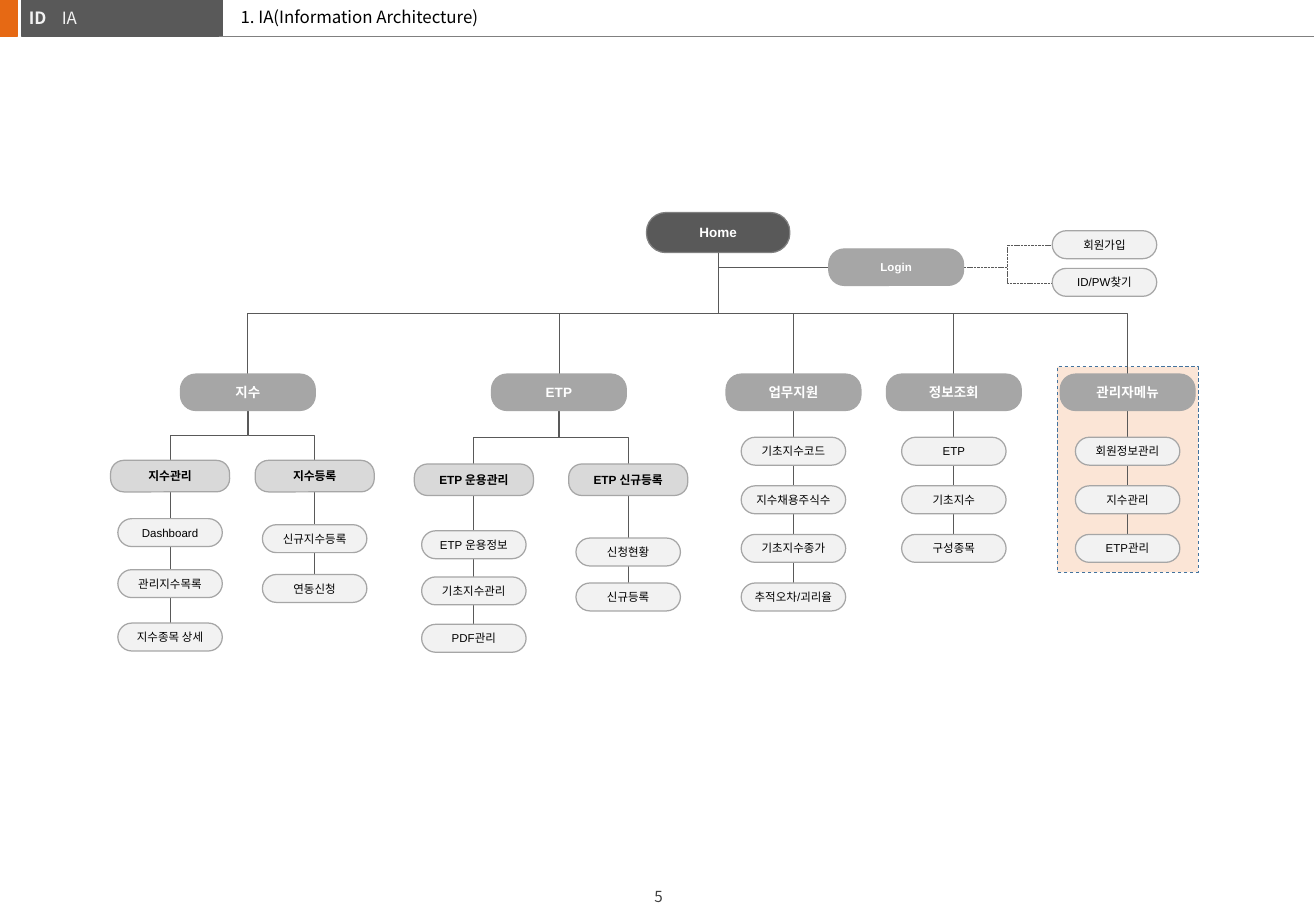
from collections import namedtuple

from pptx import Presentation
from pptx.dml.color import RGBColor
from pptx.enum import dml, shapes, text
from pptx.oxml import parse_xml
from pptx.oxml.ns import nsdecls
from pptx.util import Inches, Pt

Level = namedtuple("Level", "w h round fill edge size ink bold")


class Theme:
    sans, head = "Arial", "Noto Sans CJK KR"
    orange, dark, rule, pale = "E66914", "595959", "808080", "F2F2F2"
    peach, blue, black, page = "FBE5D6", "43739E", "000000", "404040"
    title, small = 10, 9
    home = Level(1.18, 0.33, 0.48, "595959", "808080", 8, "FFFFFF", True)
    menu = Level(1.11, 0.3, 0.42, "A6A6A6", "A6A6A6", 8, "FFFFFF", True)
    login = menu._replace(size=6.8)
    sub = Level(0.98, 0.26, 0.42, "D9D9D9", "A6A6A6", 7, "000000", True)
    leaf = Level(0.86, 0.23, 0.5, "F2F2F2", "A6A6A6", 6.8, "000000", False)


rgb = RGBColor.from_string
kinds = shapes.MSO_CONNECTOR
deck = Presentation()
deck.slide_width, deck.slide_height = Inches(10.83), Inches(7.5)
slide = deck.slides.add_slide(deck.slide_layouts[5])
pen = slide.shapes


def link(x1, y1, x2, y2, dash=None, color=Theme.dark):
    """Join two points: straight if level or plumb, dashed elbows sideways, others downward."""
    turn = 0
    if x1 == x2 or y1 == y2:
        kind = kinds.STRAIGHT
    else:
        kind = kinds.ELBOW
        if not dash:
            # A downward elbow is a sideways one turned about its centre.
            side = 1 if x2 > x1 else -1
            cx, cy = (x1 + x2) / 2, (y1 + y2) / 2
            dx, dy = abs(x2 - x1) / 2, side * (y2 - y1) / 2
            x1, y1, x2, y2 = cx + dy, cy - dx, cx - dy, cy + dx
            turn = 270 if side > 0 else 90
    wire = pen.add_connector(kind, *(Inches(v) for v in (x1, y1, x2, y2)))
    wire.line.color.rgb = rgb(color)
    wire.line.width = Pt(0.5)
    if dash:
        wire.line.dash_style = dash
    props = wire._element.spPr
    if turn:
        props.xfrm.set("rot", str(turn * 60000))
    props.append(parse_xml(f"<a:effectLst {nsdecls('a')}/>"))


def node(label, x, top, level):
    """Draw a rounded box centred on x."""
    box = pen.add_shape(shapes.MSO_SHAPE.ROUNDED_RECTANGLE, Inches(x - level.w / 2),
                        Inches(top), Inches(level.w), Inches(level.h))
    box.adjustments[0] = level.round
    box.shadow.inherit = False
    box.fill.solid()
    box.fill.fore_color.rgb = rgb(level.fill)
    box.line.color.rgb = rgb(level.edge)
    box.line.width = Pt(0.75)
    frame = box.text_frame
    frame.word_wrap = True
    frame.vertical_anchor = text.MSO_ANCHOR.MIDDLE
    frame.margin_left = frame.margin_right = Inches(0.01)
    frame.margin_top = frame.margin_bottom = Inches(0.01)
    para = frame.paragraphs[0]
    para.text = label
    para.alignment = text.PP_ALIGN.CENTER
    para.font.name, para.font.size = Theme.sans, Pt(level.size)
    para.font.bold, para.font.color.rgb = level.bold, rgb(level.ink)


# Header bars and the panel behind the admin menu
panels = [
    (0, 0, 0.14, 0.3, Theme.orange, Theme.orange, 1),
    (0.18, 0, 1.65, 0.3, Theme.dark, Theme.dark, 1),
    (8.7, 3.02, 1.16, 1.69, Theme.peach, Theme.blue, 0.5),
]
for x, y, w, h, fill, edge, width in panels:
    panel = pen.add_shape(shapes.MSO_SHAPE.RECTANGLE, Inches(x), Inches(y), Inches(w), Inches(h))
    panel.shadow.inherit = False
    panel.fill.solid()
    panel.fill.fore_color.rgb = rgb(fill)
    panel.line.color.rgb = rgb(edge)
    panel.line.width = Pt(width)
panel.line.dash_style = dml.MSO_LINE.DASH
link(1.8, 0.3, 10.81, 0.3, color=Theme.rule)

# Title, header labels and page number
left, centre = text.PP_ALIGN.LEFT, text.PP_ALIGN.CENTER
labels = [
    ("1. IA(Information Architecture)", 1.88, 0.01, 7.32, 0.26, Theme.title, Theme.black, False, left),
    ("ID", 0.14, 0.01, 0.35, 0.27, Theme.title, Theme.pale, True, left),
    ("IA", 0.41, 0.03, 1.35, 0.23, Theme.title, Theme.pale, False, left),
    ("5", 5.2, 7.26, 0.44, 0.24, Theme.small, Theme.page, False, centre),
]
for i, (label, x, y, w, h, size, ink, bold, align) in enumerate(labels):
    area = pen.title if i == 0 else pen.add_textbox(0, 0, 0, 0)
    area.left, area.top, area.width, area.height = (Inches(v) for v in (x, y, w, h))
    frame = area.text_frame
    frame.word_wrap = label != "ID"
    frame.auto_size = text.MSO_AUTO_SIZE.NONE
    frame.vertical_anchor = text.MSO_ANCHOR.MIDDLE
    para = frame.paragraphs[0]
    para.text = label
    para.alignment = align
    para.font.name, para.font.size = Theme.head, Pt(size)
    para.font.bold, para.font.color.rgb = bold, rgb(ink)

# Home and login
mid, base, row = 5.91, 2.08, 3.08
foot = row + Theme.menu.h
link(mid, 2.2, 6.82, 2.2)
node("Home", mid, 1.75, Theme.home)
for label, top, end in [("회원가입", 1.9, 2.02), ("ID/PW찾기", 2.21, 2.33)]:
    link(7.93, 2.2, 8.66, end, dash=dml.MSO_LINE.SQUARE_DOT)
    node(label, 9.09, top, Theme.leaf)
node("Login", 7.375, 2.05, Theme.login)

# Menus with sub-menus: name, x, top of sub-menus, [(sub-menu, x, {page: top})]
trees = [
    ("지수", 2.04, 3.79, [
        ("지수관리", 1.4, {"Dashboard": 4.27, "관리지수목록": 4.69, "지수종목 상세": 5.13}),
        ("지수등록", 2.59, {"신규지수등록": 4.32, "연동신청": 4.73})]),
    ("ETP", 4.6, 3.82, [
        ("ETP 운용관리", 3.9, {"ETP 운용정보": 4.37, "기초지수관리": 4.75, "PDF관리": 5.14}),
        ("ETP 신규등록", 5.17, {"신청현황": 4.43, "신규등록": 4.8})]),
]
for name, x, top, subs in trees:
    link(mid, base, x, row)
    for sub, sx, pages in subs:
        link(x, foot, sx, top)
        link(sx, top + Theme.sub.h, sx, max(pages.values()))
        node(sub, sx, top, Theme.sub)
        for page, y in pages.items():
            node(page, sx, y, Theme.leaf)
    node(name, x, row, Theme.menu)

# Menus whose pages hang directly below at an even step
first, step = 3.6, 0.4
stacks = [
    ("업무지원", 6.53, ["기초지수코드", "지수채용주식수", "기초지수종가", "추적오차/괴리율"]),
    ("정보조회", 7.85, ["ETP", "기초지수", "구성종목"]),
    ("관리자메뉴", 9.28, ["회원정보관리", "지수관리", "ETP관리"]),
]
for name, x, pages in stacks:
    link(mid, base, x, row)
    link(x, foot, x, first + step * (len(pages) - 1))
    node(name, x, row, Theme.menu)
    for i, page in enumerate(pages):
        node(page, x, first + step * i, Theme.leaf)

deck.save("out.pptx")
